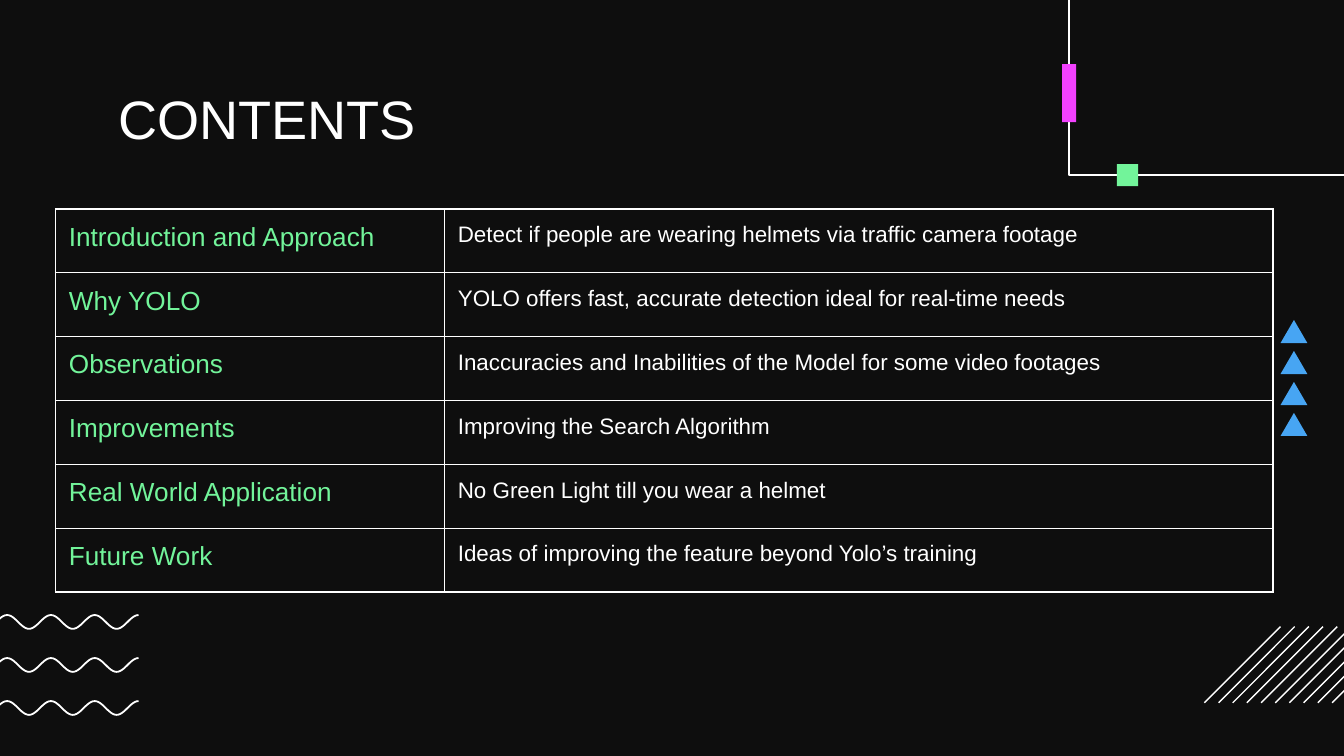
from dataclasses import dataclass
from math import cos, pi

from lxml import etree
from pptx import Presentation
from pptx.dml.color import RGBColor
from pptx.enum.shapes import MSO_CONNECTOR, MSO_SHAPE
from pptx.enum.text import MSO_ANCHOR, MSO_AUTO_SIZE, PP_ALIGN
from pptx.oxml import parse_xml
from pptx.oxml.ns import nsdecls, qn
from pptx.util import Pt

BOX = MSO_SHAPE.RECTANGLE
PEAK = MSO_SHAPE.ISOSCELES_TRIANGLE
LINE = MSO_CONNECTOR.STRAIGHT
TOP = MSO_ANCHOR.TOP
LEFT = PP_ALIGN.LEFT
FIXED = MSO_AUTO_SIZE.NONE


@dataclass(frozen=True)
class Theme:
    back: str = "0E0E0E"
    white: str = "FFFFFF"
    green: str = "72F49A"
    blue: str = "47A5F3"
    pink: str = "F341FF"
    font: str = "Arial"
    title: float = 29
    topic: float = 14
    body: float = 12
    thin: float = 0.75
    wave: float = 0.95


THEME = Theme()

ROWS = [
    ("Introduction and Approach",
     "Detect if people are wearing helmets via traffic camera footage"),
    ("Why YOLO",
     "YOLO offers fast, accurate detection ideal for real-time needs"),
    ("Observations",
     "Inaccuracies and Inabilities of the Model for some video footages"),
    ("Improvements", "Improving the Search Algorithm"),
    ("Real World Application", "No Green Light till you wear a helmet"),
    ("Future Work", "Ideas of improving the feature beyond Yolo’s training"),
]


def color(code):
    return RGBColor.from_string(code)


def write(frame, text, size, tint=THEME.white, after=0):
    para = frame.paragraphs[0]
    para.alignment = LEFT
    para.space_after = Pt(after)
    run = para.add_run()
    run.text = text
    run.font.name = THEME.font
    run.font.size = Pt(size)
    run.font.color.rgb = color(tint)


def stroke(line, width):
    line.color.rgb = color(THEME.white)
    line.width = Pt(width)


def add_solid(slide, kind, left, top, width, height, tint):
    shape = slide.shapes.add_shape(kind, Pt(left), Pt(top), Pt(width), Pt(height))
    shape.shadow.inherit = False
    shape.fill.solid()
    shape.fill.fore_color.rgb = color(tint)
    shape.line.fill.background()


def add_path(slide, points, width):
    spots = [(Pt(x), Pt(y)) for x, y in points]
    pen = slide.shapes.build_freeform(*spots[0])
    pen.add_line_segments(spots[1:], close=False)
    shape = pen.convert_to_shape()
    shape.shadow.inherit = False
    shape.fill.background()
    stroke(shape.line, width)


def add_line(slide, x1, y1, x2, y2):
    line = slide.shapes.add_connector(LINE, Pt(x1), Pt(y1), Pt(x2), Pt(y2))
    etree.SubElement(line.element.spPr, qn("a:effectLst"))
    stroke(line.line, THEME.thin)


def add_waves(slide):
    half, high, steps = 11.73, 7.4, 12
    for row in range(3):
        mid = 329.5 + 23.04 * row + high / 2
        points = [(74.2 - half * i / steps, mid - high / 2 * cos(pi * i / steps))
                  for i in range(7 * steps + 1)]
        add_path(slide, points, THEME.wave)


def add_peaks(slide):
    for i in range(4):
        add_solid(slide, PEAK, 686, 171.4 + 16.6 * i, 14.4, 12.4, THEME.blue)


def add_hatch(slide):
    for i in range(10):
        x = 645.2 + 7.6 * i
        add_line(slide, x + 40.8, 335.7, x, 376.5)


def add_corner(slide):
    add_path(slide, [(884.2, 93.8), (572.8, 93.8), (572.8, -150.5)], THEME.thin)
    add_solid(slide, BOX, 598.3, 88, 11.5, 11.7, THEME.green)
    add_solid(slide, BOX, 569, 34.4, 7.6, 31, THEME.pink)


def set_title(slide):
    title = slide.shapes.title
    title.left, title.top = Pt(56.2), Pt(42.5)
    title.width, title.height = Pt(607.6), Pt(33.1)
    frame = title.text_frame
    frame.auto_size = FIXED
    frame.word_wrap = True
    frame.vertical_anchor = TOP
    frame.margin_left = frame.margin_right = Pt(7.2)
    frame.margin_top, frame.margin_bottom = Pt(3), Pt(0)
    write(frame, "CONTENTS", THEME.title)


def style_cell(cell):
    cell.fill.background()
    cell.vertical_anchor = TOP
    cell.margin_left = cell.margin_right = Pt(7.2)
    cell.margin_top = cell.margin_bottom = Pt(7.2)
    props = cell._tc.get_or_add_tcPr()
    for i, side in enumerate("LRTB"):
        props.insert(i, parse_xml(
            f'<a:ln{side} {nsdecls("a")} w="{Pt(THEME.thin)}"><a:solidFill>'
            f'<a:srgbClr val="{THEME.white}"/></a:solidFill></a:ln{side}>'))


def add_grid(slide):
    widths, high = (208.4, 443.9), 34.2
    table = slide.shapes.add_table(
        len(ROWS), 2, Pt(29.7), Pt(112), Pt(sum(widths)), Pt(high * len(ROWS))).table
    table.first_row = table.horz_banding = False
    for col, width in zip(table.columns, widths):
        col.width = Pt(width)
    for row, (topic, detail) in zip(table.rows, ROWS):
        row.height = Pt(high)
        for cell in row.cells:
            style_cell(cell)
        write(row.cells[0].text_frame, topic, THEME.topic, tint=THEME.green)
        write(row.cells[1].text_frame, detail, THEME.body, after=16)


def main():
    deck = Presentation()
    deck.slide_width, deck.slide_height = Pt(720), Pt(405)
    slide = deck.slides.add_slide(deck.slide_layouts[5])
    fill = slide.background.fill
    fill.solid()
    fill.fore_color.rgb = color(THEME.back)
    add_waves(slide)
    add_peaks(slide)
    add_hatch(slide)
    set_title(slide)
    add_grid(slide)
    add_corner(slide)
    deck.save("out.pptx")


if __name__ == "__main__":
    main()
